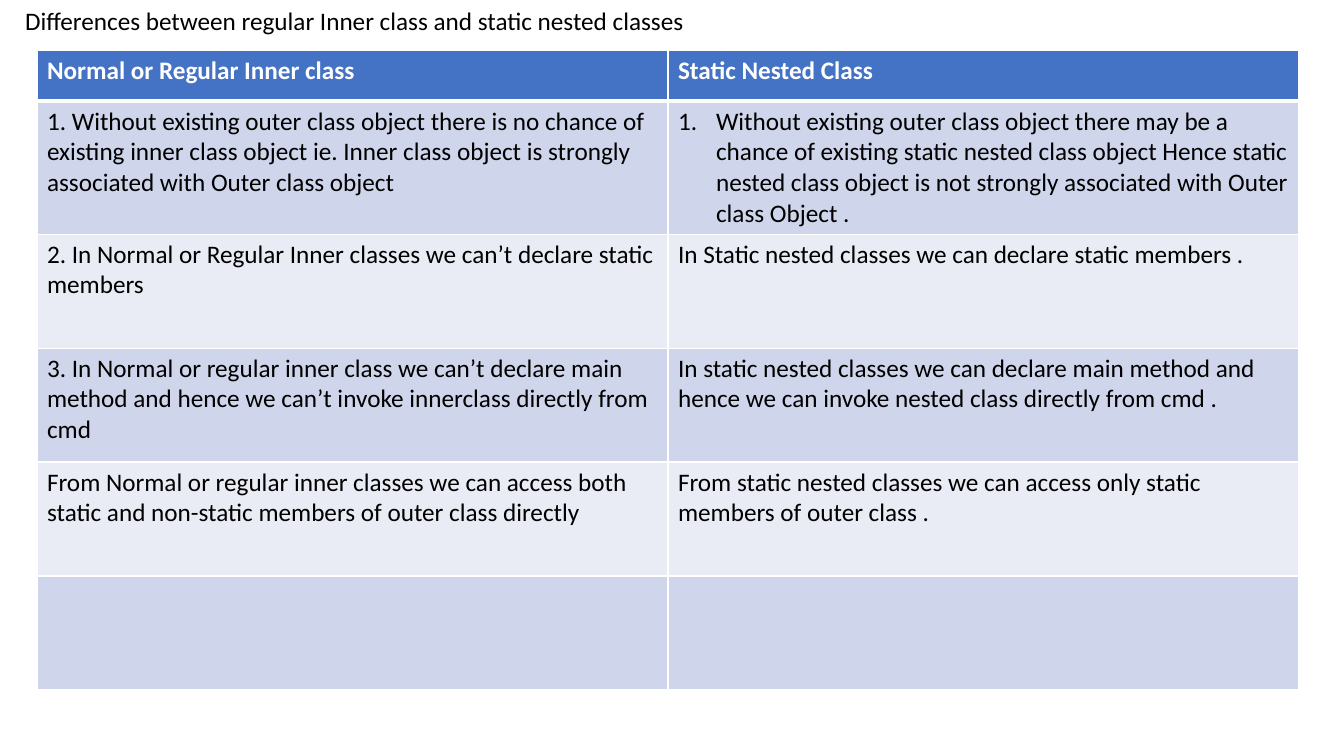
import pptx
import pptx.util
import pptx.dml.color
import pptx.enum.text
import pptx.oxml
import pptx.oxml.ns

PX = 914400 / 100.8
FONT = "Calibri"
HEADER_FILL = "4472C4"
BAND_FILLS = ["CFD5EA", "E9EBF5"]
TITLE = "Differences between regular Inner class and static nested classes"
ROWS = [
    ("Normal or Regular Inner class", "Static Nested Class"),
    ("1. Without existing outer class object there is no chance of existing inner class "
     "object ie. Inner class object is strongly associated with Outer class object",
     "Without existing outer class object there may be a chance of existing static nested "
     "class object Hence static nested class object is not strongly associated with Outer "
     "class Object ."),
    ("2. In Normal or Regular Inner classes we can’t declare static members",
     "In Static nested classes we can declare static members ."),
    ("3. In Normal or regular inner class we can’t declare main method and hence we can’t "
     "invoke innerclass directly from cmd",
     "In static nested classes we can declare main method and hence we can invoke nested "
     "class directly from cmd ."),
    ("From Normal or regular inner classes we can access both static and non-static members "
     "of outer class directly",
     "From static nested classes we can access only static members of outer class ."),
    ("", ""),
]


def px(n):
    return pptx.util.Emu(round(n * PX))


def rgb(color):
    return pptx.dml.color.RGBColor.from_string(color)


def format_font(font, color, bold=False):
    font.name = FONT
    font.size = pptx.util.Pt(18)
    font.bold = bold
    font.color.rgb = rgb(color)


def add_xml(parent, tag, index, body="", attrs=""):
    ns = pptx.oxml.ns.nsdecls("a")
    parent.insert(index, pptx.oxml.parse_xml(f"<a:{tag} {ns} {attrs}>{body}</a:{tag}>"))


def set_borders(cell, widths):
    line = '<a:solidFill><a:srgbClr val="FFFFFF"/></a:solidFill>'
    tc_pr = cell._tc.get_or_add_tcPr()
    for i, (side, width) in enumerate(widths.items()):
        add_xml(tc_pr, "ln" + side, i, line, f'w="{pptx.util.Pt(width)}"')


def number_paragraph(p, indent):
    p_pr = p._p.get_or_add_pPr()
    p_pr.set("marL", str(px(indent)))
    p_pr.set("indent", str(-px(indent)))
    add_xml(p_pr, "buFont", 0, attrs='typeface="+mj-lt"')
    add_xml(p_pr, "buAutoNum", 1, attrs='type="arabicPeriod"')


def add_title(s, left, top, width, height):
    sp = s.shapes.title
    sp.left, sp.top, sp.width, sp.height = map(px, (left, top, width, height))
    tf = sp.text_frame
    tf.text = TITLE
    tf.word_wrap = True
    tf.auto_size = pptx.enum.text.MSO_AUTO_SIZE.NONE
    tf.vertical_anchor = pptx.enum.text.MSO_ANCHOR.TOP
    p = tf.paragraphs[0]
    p.alignment = pptx.enum.text.PP_ALIGN.LEFT
    p.line_spacing = 1.0
    format_font(p.runs[0].font, "000000")


def add_comparison(s, left, top, width, header_height, row_height):
    height = header_height + row_height * (len(ROWS) - 1)
    frame = s.shapes.add_table(len(ROWS), 2, *map(px, (left, top, width, height)))
    table = frame.table
    for column in table.columns:
        column.width = px(width / 2)
    for i, texts in enumerate(ROWS):
        header = i == 0
        table.rows[i].height = px(header_height if header else row_height)
        for j, text in enumerate(texts):
            cell = table.cell(i, j)
            cell.text = text
            p = cell.text_frame.paragraphs[0]
            for font in [p.font] + [r.font for r in p.runs]:
                format_font(font, "FFFFFF" if header else "000000", header)
            cell.fill.solid()
            cell.fill.fore_color.rgb = rgb(HEADER_FILL if header else BAND_FILLS[(i - 1) % 2])
            set_borders(cell, {"L": 1, "R": 1, "T": 3 if i == 1 else 1, "B": 3 if header else 1})
    number_paragraph(table.cell(1, 1).text_frame.paragraphs[0], 38)


prs = pptx.Presentation()
prs.slide_width, prs.slide_height = px(1344), px(756)
s = prs.slides.add_slide(prs.slide_layouts[5])
add_title(s, 15, 0, 1311, 72)
add_comparison(s, 37, 50, 1262, 51, 114)
prs.save("out.pptx")
